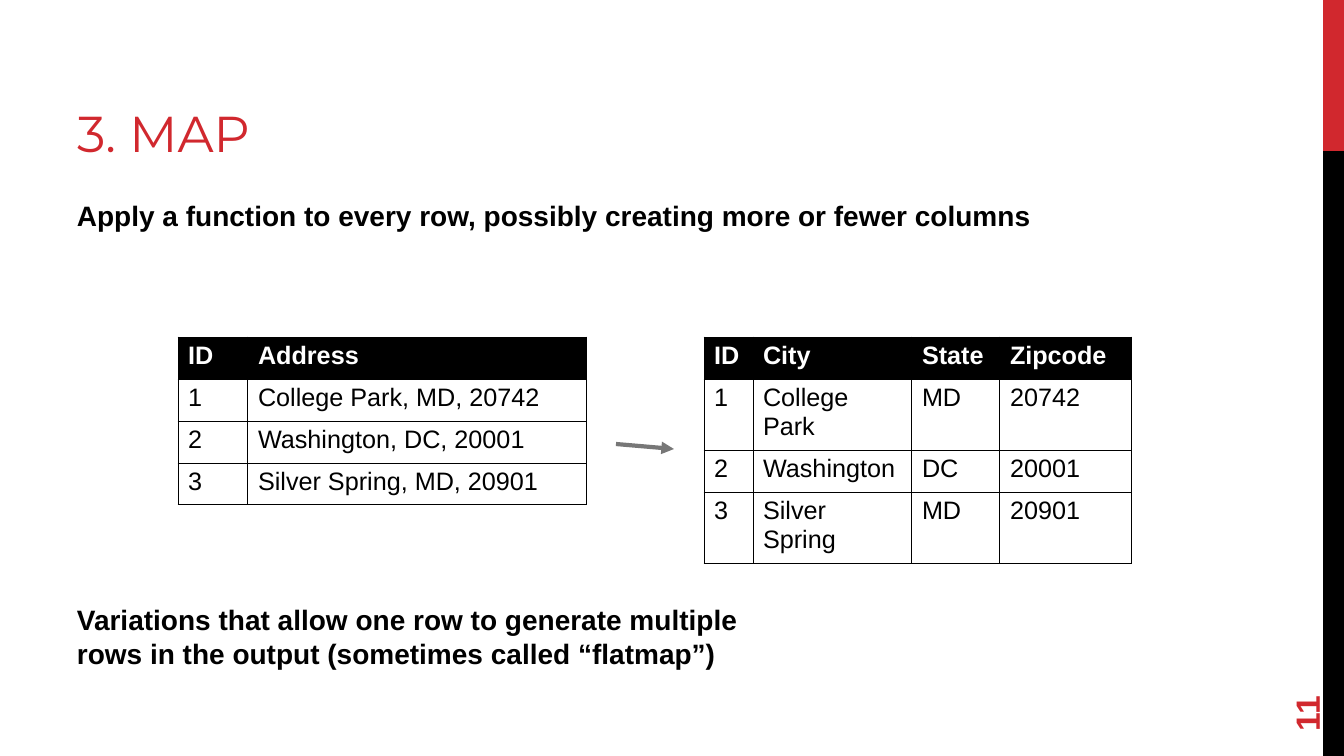
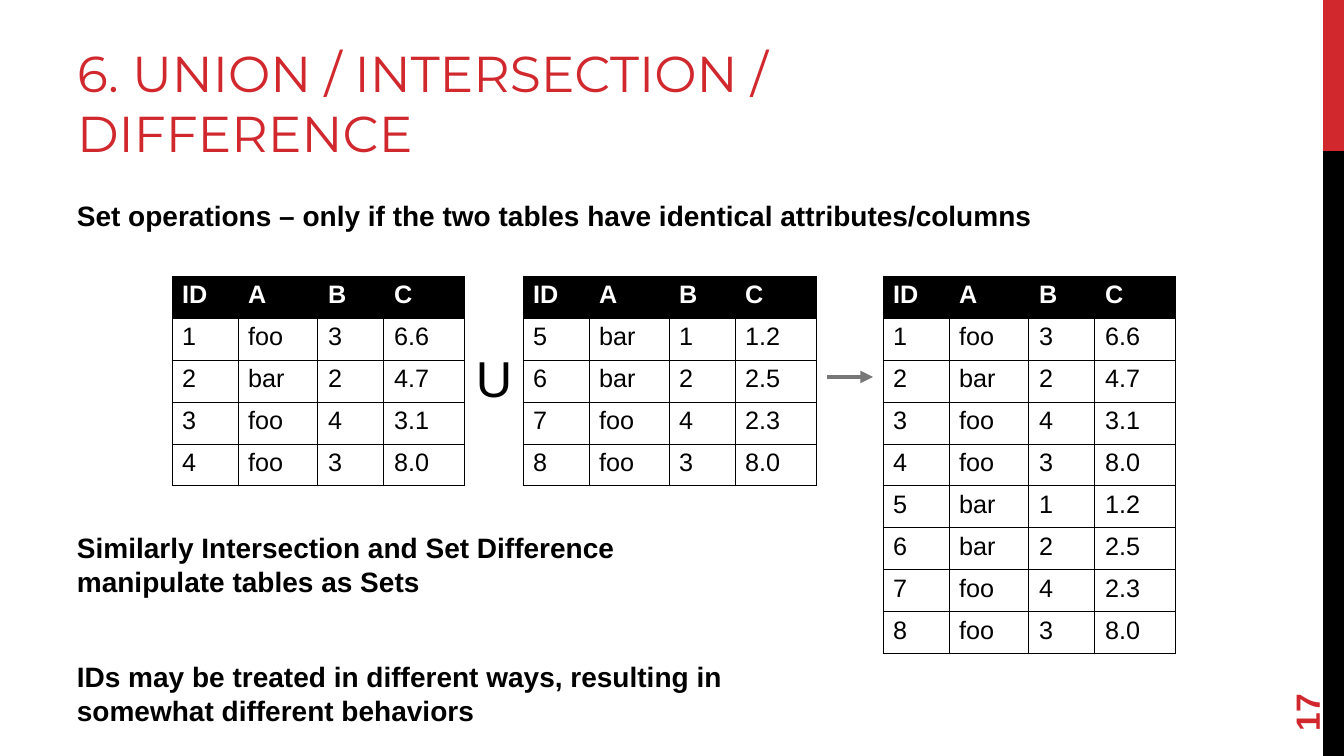
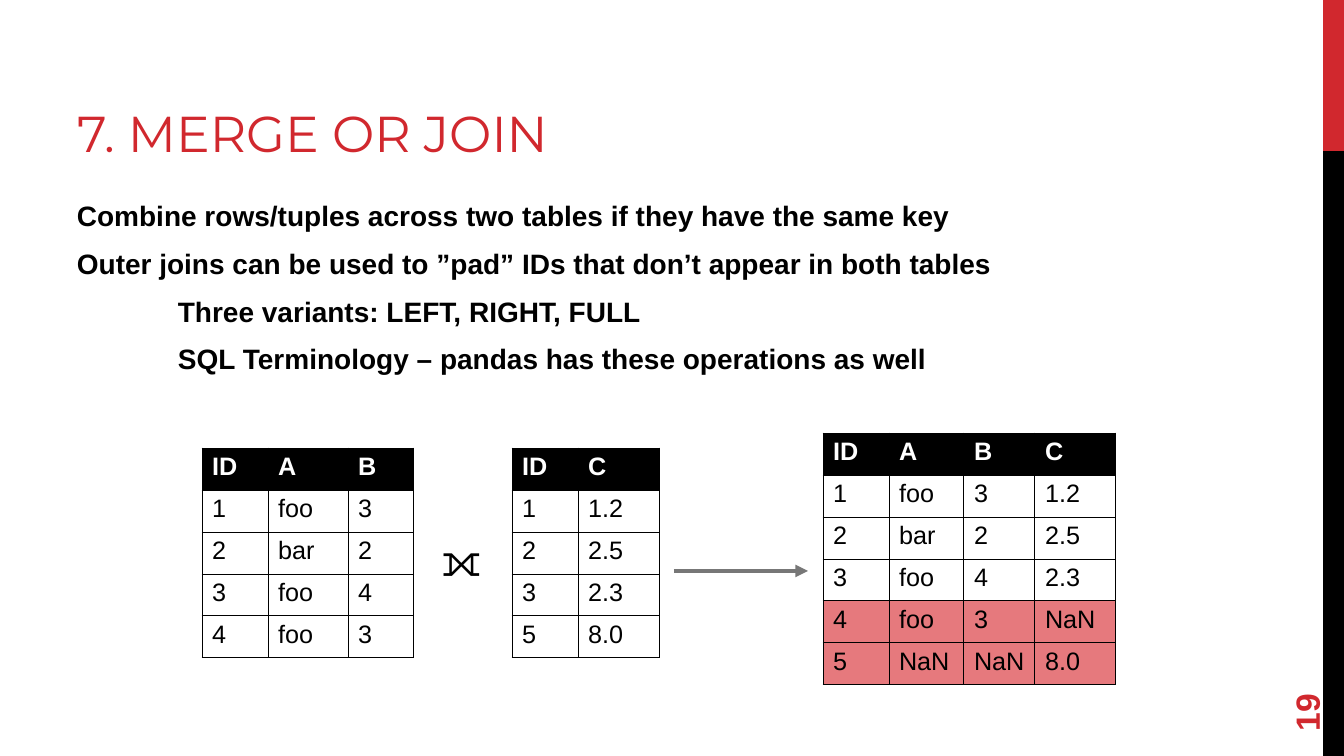
"""Builds three slides on table operations: map, set operations and join."""
from dataclasses import dataclass
from typing import Any

from pptx import Presentation
from pptx.dml.color import RGBColor
from pptx.enum.shapes import MSO_CONNECTOR as Link, MSO_SHAPE as Form
from pptx.enum.text import MSO_ANCHOR as Anchor, MSO_AUTO_SIZE as Fit, PP_ALIGN as Align
from pptx.oxml import parse_xml
from pptx.oxml.ns import nsdecls
from pptx.oxml.xmlchemy import OxmlElement as Node
from pptx.util import Emu, Pt

SCALE = 914400 / 100.8
HUES = {"red": "D1282E", "black": "000000", "white": "FFFFFF",
        "gray": "777777", "pink": "E6797D"}
BODY = {"name": "Arial", "size": Pt(20), "bold": True}
CELL = {"name": "Arial", "size": Pt(18), "bold": False}
HEAD = {**CELL, "bold": True}
TITLE = {"name": "Montserrat", "size": Pt(36), "bold": False}
NUMBER = {"name": "Arial", "size": Pt(24), "bold": True}
BANDS = (("red", 0, 151), ("black", 151, 605))
ROW = 42
TAB = 101


@dataclass(frozen=True)
class Para:
    """A paragraph, with its gap above in points and its indent in px."""
    text: str
    gap: int = 10
    indent: int = 0


@dataclass(frozen=True)
class Note:
    """A bold text box."""
    box: tuple[int, int, int, int]
    paras: tuple[Para, ...]


@dataclass(frozen=True)
class Sign:
    """An operator sign between two tables."""
    box: tuple[int, int, int, int]
    text: str
    size: int


@dataclass(frozen=True)
class Grid:
    """A table with a black header row."""
    left: int
    top: int
    cols: tuple[int, ...]
    rows: tuple[str, ...]
    tall: tuple[int, ...] = ()
    marked: tuple[int, ...] = ()


@dataclass(frozen=True)
class Arrow:
    """A gray arrow from a start to an end point."""
    start: tuple[int, int]
    end: tuple[int, int]


@dataclass(frozen=True)
class Page:
    """The content of one slide."""
    title: str
    number: str
    items: tuple[Note | Sign | Grid | Arrow, ...]


def px(size: int) -> Emu:
    """Turn px into EMU."""
    return Emu(round(size * SCALE))


def hue(name: str) -> RGBColor:
    """Look up a colour."""
    return RGBColor.from_string(HUES[name])


def put(obj: Any, vals: dict[str, Any]) -> None:
    """Set attributes from a dict."""
    for key, val in vals.items():
        setattr(obj, key, val)


def write(para: Any, text: str, font: dict[str, Any], color: str) -> None:
    """Add one formatted run to a paragraph."""
    run = para.add_run()
    run.text = text
    put(run.font, font)
    run.font.color.rgb = hue(color)


def frame(slide: Any, box: tuple[int, int, int, int]) -> Any:
    """Add a wrapping text box."""
    shape = slide.shapes.add_textbox(*map(px, box))
    put(shape.text_frame, {"word_wrap": True, "auto_size": Fit.NONE})
    return shape


def draw_note(slide: Any, note: Note) -> None:
    """Draw a text box with its paragraphs."""
    text = frame(slide, note.box).text_frame
    for i, item in enumerate(note.paras):
        para = text.add_paragraph() if i else text.paragraphs[0]
        put(para, {"line_spacing": Pt(24), "space_before": Pt(item.gap if i else 0)})
        if item.indent:
            para._p.get_or_add_pPr().set("marL", str(px(item.indent)))
        write(para, item.text, BODY, "black")


def draw_sign(slide: Any, sign: Sign) -> None:
    """Draw an operator sign."""
    para = frame(slide, sign.box).text_frame.paragraphs[0]
    write(para, sign.text, {"name": "Arial", "size": Pt(sign.size)}, "black")


def edge(cell: Any) -> None:
    """Give a cell thin black borders."""
    props = cell._tc.get_or_add_tcPr()
    for side in "LRTB":
        props.append(parse_xml(
            f'<a:ln{side} {nsdecls("a")} w="{Pt(0.75)}"><a:solidFill>'
            f'<a:srgbClr val="{HUES["black"]}"/></a:solidFill></a:ln{side}>'))


def draw_grid(slide: Any, grid: Grid) -> None:
    """Draw a table."""
    tall = grid.tall or (ROW,) * len(grid.rows)
    box = (grid.left, grid.top, sum(grid.cols), sum(tall))
    table = slide.shapes.add_table(len(tall), len(grid.cols), *map(px, box)).table
    table.horz_banding = False
    for col, wide in zip(table.columns, grid.cols):
        col.width = px(wide)
    for r, (line, high) in enumerate(zip(grid.rows, tall)):
        table.rows[r].height = px(high)
        fill = "pink" if r in grid.marked else "white" if r else "black"
        for c, text in enumerate(line.split("|")):
            cell = table.cell(r, c)
            edge(cell)
            cell.fill.solid()
            cell.fill.fore_color.rgb = hue(fill)
            write(cell.text_frame.paragraphs[0], text, CELL if r else HEAD,
                  "black" if r else "white")


def draw_arrow(slide: Any, arrow: Arrow) -> None:
    """Draw an arrow."""
    line = slide.shapes.add_connector(Link.STRAIGHT, *map(px, arrow.start + arrow.end))
    line.line.width = Pt(3)
    line.line.color.rgb = hue("gray")
    tip = Node("a:tailEnd")
    tip.set("type", "triangle")
    line.line._get_or_add_ln().append(tip)
    line.element.spPr.append(Node("a:effectLst"))


DRAW = {Note: draw_note, Sign: draw_sign, Grid: draw_grid, Arrow: draw_arrow}


def add_bands(slide: Any) -> None:
    """Put the side bands on the layout that the slides share."""
    for i, (color, top, high) in enumerate(BANDS):
        band = slide.shapes.add_shape(Form.RECTANGLE, *map(px, (1323, top, 21, high)))
        band.shadow.inherit = False
        band.fill.solid()
        band.fill.fore_color.rgb = hue(color)
        band.line.fill.background()
        band.element.nvSpPr.cNvPr.set("id", str(100 + i))
        slide.slide_layout.shapes.element.append(band.element)


def draw_page(slide: Any, page: Page) -> None:
    """Fill one slide."""
    title = slide.shapes.title
    put(title, dict(zip(("left", "top", "width", "height"), map(px, (67, 17, 851, 151)))))
    put(title.text_frame, {"vertical_anchor": Anchor.BOTTOM, "word_wrap": True,
                           "auto_size": Fit.NONE})
    para = title.text_frame.paragraphs[0]
    para.alignment = Align.LEFT
    write(para, page.title, TITLE, "red")
    number = frame(slide, (1234, 642, 145, 53))
    number.rotation = 270
    number.text_frame.vertical_anchor = Anchor.MIDDLE
    write(number.text_frame.paragraphs[0], page.number, NUMBER, "red")
    for item in page.items:
        DRAW[type(item)](slide, item)


LEAD = (67, 194, 1120, 482)
ABC = (66, 80, 66, 81)
TOP = "ID|A|B|C"
ONE = ("1|foo|3|6.6", "2|bar|2|4.7", "3|foo|4|3.1", "4|foo|3|8.0")
TWO = ("5|bar|1|1.2", "6|bar|2|2.5", "7|foo|4|2.3", "8|foo|3|8.0")

PAGES = (
    Page("3. MAP", "11", (
        Note(LEAD, (Para("Apply a function to every row, possibly creating more or "
                         "fewer columns"),)),
        Grid(178, 337, (70, 339), ("ID|Address", "1|College Park, MD, 20742",
                                   "2|Washington, DC, 20001",
                                   "3|Silver Spring, MD, 20901")),
        Note((67, 598, 706, 78), (Para("Variations that allow one row to generate multiple "
                                       "rows in the output (sometimes called “flatmap”)"),)),
        Grid(704, 337, (49, 159, 88, 132),
             ("ID|City|State|Zipcode", "1|College Park|MD|20742",
              "2|Washington|DC|20001", "3|Silver Spring|MD|20901"),
             tall=(ROW, 71, ROW, 71)),
        Arrow((616, 444), (674, 449)),
    )),
    Page("6. UNION / INTERSECTION / DIFFERENCE", "17", (
        Note(LEAD, (Para("Set operations – only if the two tables have identical "
                         "attributes/columns"),)),
        Grid(172, 276, ABC, (TOP, *ONE)),
        Grid(523, 276, ABC, (TOP, *TWO)),
        Sign((466, 342, 57, 71), "U", 36),
        Grid(883, 276, ABC, (TOP, *ONE, *TWO)),
        Arrow((827, 377), (873, 377)),
        Note((67, 526, 684, 213), (
            Para("Similarly Intersection and Set Difference manipulate tables as Sets"),
            Para("IDs may be treated in different ways, resulting in somewhat different "
                 "behaviors", gap=44))),
    )),
    Page("7. MERGE OR JOIN", "19", (
        Note(LEAD, (
            Para("Combine rows/tuples across two tables if they have the same key"),
            Para("Outer joins can be used to ”pad” IDs that don’t appear in both tables"),
            Para("Three variants: LEFT, RIGHT, FULL", indent=TAB),
            Para("SQL Terminology – pandas has these operations as well", indent=TAB))),
        Grid(202, 448, ABC[:3], ("ID|A|B", "1|foo|3", "2|bar|2", "3|foo|4", "4|foo|3")),
        Grid(512, 448, (66, 81), ("ID|C", "1|1.2", "2|2.5", "3|2.3", "5|8.0")),
        Grid(823, 433, (66, 75, 71, 81),
             (TOP, "1|foo|3|1.2", "2|bar|2|2.5", "3|foo|4|2.3", "4|foo|3|NaN",
              "5|NaN|NaN|8.0"), marked=(4, 5)),
        Arrow((674, 571), (808, 571)),
        Sign((432, 527, 73, 64), "⟗", 32),
    )),
)


def main() -> None:
    """Build and save the deck."""
    deck = Presentation()
    put(deck, {"slide_width": px(1344), "slide_height": px(756)})
    slides = [deck.slides.add_slide(deck.slide_layouts[5]) for _ in PAGES]
    add_bands(slides[0])
    for slide, page in zip(slides, PAGES):
        draw_page(slide, page)
    deck.save("out.pptx")


if __name__ == "__main__":
    main()
